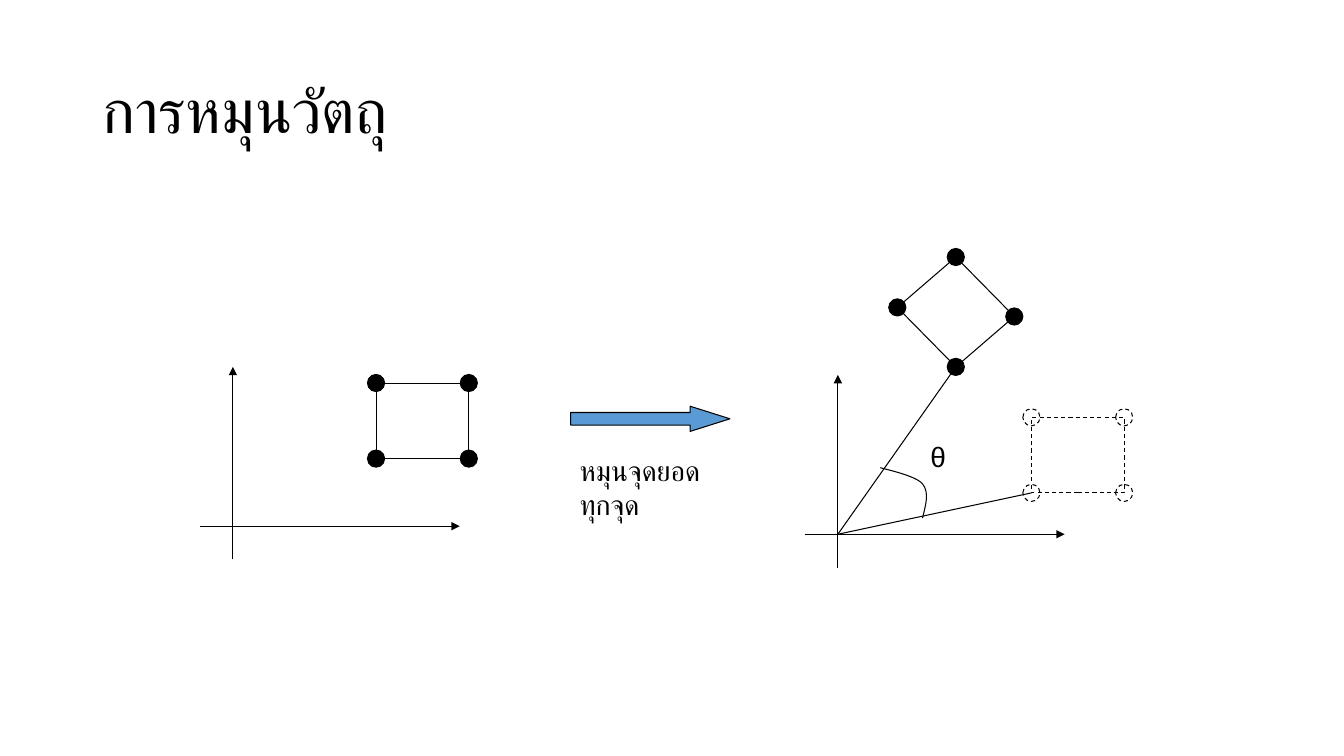
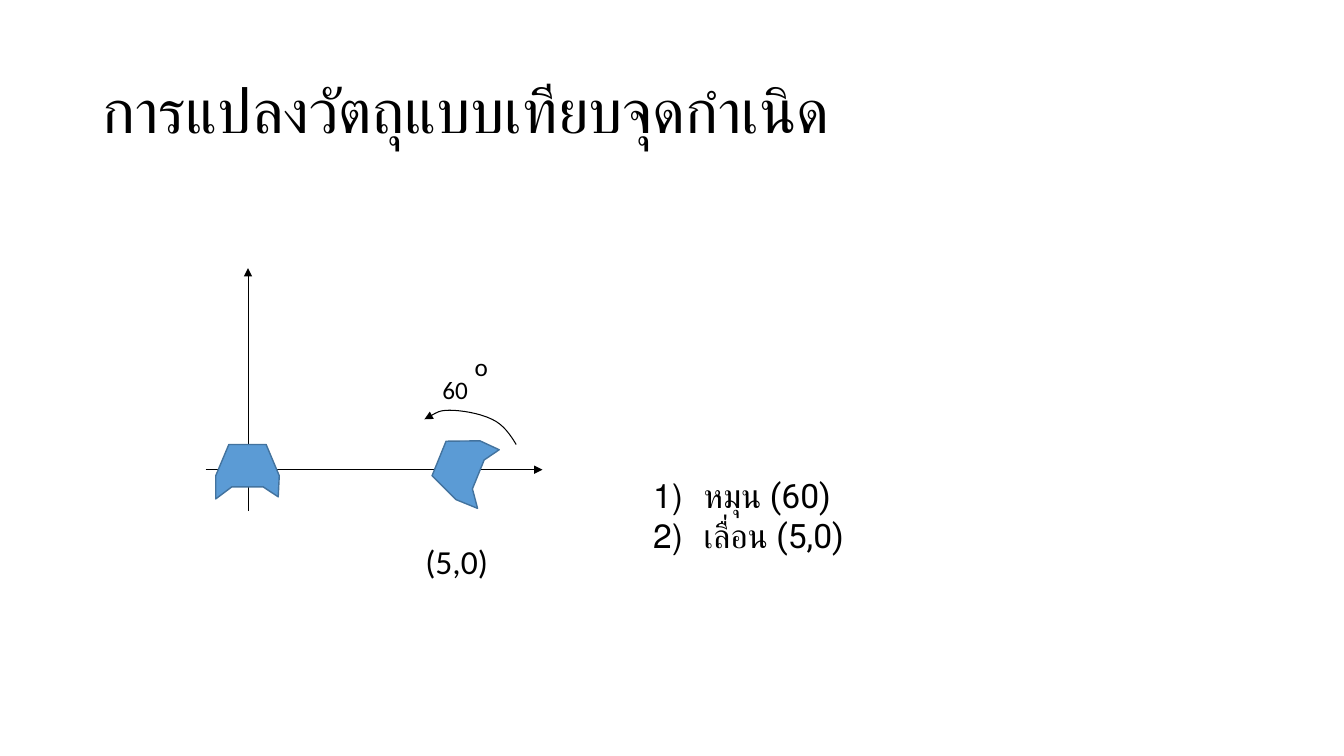
from pptx import Presentation
from pptx.dml.color import RGBColor
from pptx.enum.dml import MSO_LINE
from pptx.enum.shapes import MSO_CONNECTOR, MSO_SHAPE
from pptx.enum.text import MSO_ANCHOR
from pptx.oxml.ns import qn
from pptx.util import Emu, Pt
from lxml import etree

# Shared style
PX = 9144  # EMU in one px, 100 px to the inch
BLACK = RGBColor(0x00, 0x00, 0x00)
BLUE = RGBColor(0x5B, 0x9B, 0xD5)
DARK_BLUE = RGBColor(0x43, 0x73, 0x9E)
DASH = MSO_LINE.DASH
MIDDLE, TOP = MSO_ANCHOR.MIDDLE, MSO_ANCHOR.TOP
STRAIGHT = MSO_CONNECTOR.STRAIGHT
RECTANGLE, OVAL = MSO_SHAPE.RECTANGLE, MSO_SHAPE.OVAL
RIGHT_ARROW = MSO_SHAPE.RIGHT_ARROW
SLIDE_SIZE = (1333, 750)
TITLE_BOX = (92, 40, 1150, 145)
DOT = 17

# Slide 1: rotating a square
ROTATE_TITLE = "การหมุนวัตถุ"
BEFORE_AXES = dict(origin=(231, 522), left=33, right=225, up=158, down=33)
AFTER_AXES = dict(origin=(831, 530), left=33, right=225, up=158, down=34)
SQUARE_SIZE = (92, 75)
BEFORE_SQUARE = (373, 380)
AFTER_SQUARE = (1023, 414)
TURNED_CORNERS = [(890, 305), (948, 364), (1006, 314), (948, 255)]
ANGLE_ARC = [(915, 514), (918, 501), (922, 489), (915, 480),
             (908, 472), (880, 466), (873, 464)]
STEP_ARROW = (566, 403, 158, 25)
ROTATE_LABELS = [
    ("หมุนจุดยอดทุกจุด", (565, 445, 159, 44), dict(size=20)),
    ("θ", (913, 431, 35, 43), dict(size=20, font="Arial")),
]

# Slide 2: transforming about the origin
ORIGIN_TITLE = "การแปลงวัตถุแบบเทียบจุดกำเนิด"
ORIGIN_AXES = dict(origin=(246, 466), left=42, right=292, up=200, down=41)
BODY = [(0, 31), (0, 54), (16, 42), (47, 42), (62, 52), (63, 31), (50, 0), (13, 0)]
BODY_PLACES = [((214, 441), 0), ((429, 438), 292.1)]
TURN_ARC = [(512, 441), (506, 431), (499, 421), (488, 416), (476, 410),
            (457, 407), (446, 407), (435, 407), (425, 414), (421, 416)]
ORIGIN_LABELS = [
    ("(5,0)", (412, 532, 89, 50), dict(size=24)),
    ("60", (429, 366, 48, 40), dict(size=18)),
    ("o", (461, 344, 34, 40), dict(size=18)),
    ("หมุน (60)\nเลื่อน (5,0)", (638, 466, 244, 91),
     dict(size=24, font="Roboto", numbered=True)),
]


def emu(*lengths):
    return [Emu(round(length * PX)) for length in lengths]


def add_text(page, text, place, size=18, font="Calibri", anchor=TOP,
             spacing=None, numbered=False):
    frame = page.shapes.add_textbox(*emu(*place)).text_frame
    frame.word_wrap = True
    frame.vertical_anchor = anchor
    frame.text = text
    for para in frame.paragraphs:
        if numbered:
            props = para._p.get_or_add_pPr()
            indent = 50 * PX
            props.set("marL", str(indent))
            props.set("indent", str(-indent))
            etree.SubElement(props, qn("a:buFont"), typeface=font)
            etree.SubElement(props, qn("a:buAutoNum"), type="arabicParenR")
        if spacing:
            para.line_spacing = spacing
        for span in para.runs:
            span.font.size = Pt(size)
            span.font.name = font
            span.font.color.rgb = BLACK


def style_line(shape, color=BLACK, width=0.75, dash=None, arrow=False):
    shape.line.color.rgb = color
    shape.line.width = Pt(width)
    if dash:
        shape.line.dash_style = dash
    if arrow:
        outline = shape._element.spPr.find(qn("a:ln"))
        etree.SubElement(outline, qn("a:tailEnd"), type="triangle")


def style_shape(shape, fill=None, **line):
    shape.shadow.inherit = False
    if fill is None:
        shape.fill.background()
    else:
        shape.fill.solid()
        shape.fill.fore_color.rgb = fill
    style_line(shape, **line)
    return shape


def add_shape(page, kind, place, **style):
    return style_shape(page.shapes.add_shape(kind, *emu(*place)), **style)


def add_line(page, start, end, arrow=False):
    line = page.shapes.add_connector(STRAIGHT, *emu(*start, *end))
    style_line(line, arrow=arrow)
    etree.SubElement(line._element.spPr, qn("a:effectLst"))


def add_outline(page, points, close, **style):
    builder = page.shapes.build_freeform(*points[0], scale=PX)
    builder.add_line_segments(points[1:], close=close)
    return style_shape(builder.convert_to_shape(), **style)


def add_curve(page, points, **style):
    """Start point, then three points for each cubic segment."""
    shape = add_outline(page, points, False, **style)
    route = shape._element.spPr.find(".//" + qn("a:path"))
    segments = route.findall(qn("a:lnTo"))
    for first in range(0, len(segments), 3):
        cubic = etree.SubElement(route, qn("a:cubicBezTo"))
        for segment in segments[first:first + 3]:
            cubic.append(segment[0])
            route.remove(segment)


def add_axes(page, origin, left, right, up, down):
    x, y = origin
    add_line(page, (x - left, y), (x + right, y), arrow=True)
    add_line(page, (x, y + down), (x, y - up), arrow=True)


def add_dots(page, centres, **style):
    for x, y in centres:
        add_shape(page, OVAL, (x - DOT / 2, y - DOT / 2, DOT, DOT), **style)


def add_square(page, corner, dot_fill=None, dash=None):
    (x, y), (width, height) = corner, SQUARE_SIZE
    add_shape(page, RECTANGLE, (x, y, width, height), dash=dash)
    corners = [(x + dx, y + dy) for dy in (height, 0) for dx in (0, width)]
    add_dots(page, corners, fill=dot_fill, dash=dash)


def add_page(deck, title, labels):
    page = deck.slides.add_slide(deck.slide_layouts[6])
    add_text(page, title, TITLE_BOX, size=44, anchor=MIDDLE, spacing=0.9)
    for text, place, style in labels:
        add_text(page, text, place, **style)
    return page


def build_rotation(deck):
    page = add_page(deck, ROTATE_TITLE, ROTATE_LABELS)

    # Before
    add_axes(page, **BEFORE_AXES)
    add_square(page, BEFORE_SQUARE, dot_fill=BLACK)

    # Step
    arrow = add_shape(page, RIGHT_ARROW, STEP_ARROW, fill=BLUE)
    arrow.adjustments[1] = 1.58

    # After
    add_axes(page, **AFTER_AXES)
    add_square(page, AFTER_SQUARE, dash=DASH)
    for start, end in zip(TURNED_CORNERS, TURNED_CORNERS[1:] + TURNED_CORNERS[:1]):
        add_line(page, start, end)
    add_dots(page, TURNED_CORNERS, fill=BLACK)

    # Angle between the old and new corner
    old_corner = (AFTER_SQUARE[0], AFTER_SQUARE[1] + SQUARE_SIZE[1])
    for corner in (old_corner, TURNED_CORNERS[1]):
        add_line(page, AFTER_AXES["origin"], corner)
    add_curve(page, ANGLE_ARC)


def build_origin(deck):
    page = add_page(deck, ORIGIN_TITLE, ORIGIN_LABELS)
    add_axes(page, **ORIGIN_AXES)
    add_curve(page, TURN_ARC, arrow=True)
    for (left, top), angle in BODY_PLACES:
        points = [(left + x, top + y) for x, y in BODY]
        body = add_outline(page, points, True, fill=BLUE, color=DARK_BLUE, width=1)
        body.rotation = angle


def main():
    deck = Presentation()
    deck.slide_width, deck.slide_height = emu(*SLIDE_SIZE)
    build_rotation(deck)
    build_origin(deck)
    deck.save("out.pptx")


if __name__ == "__main__":
    main()
